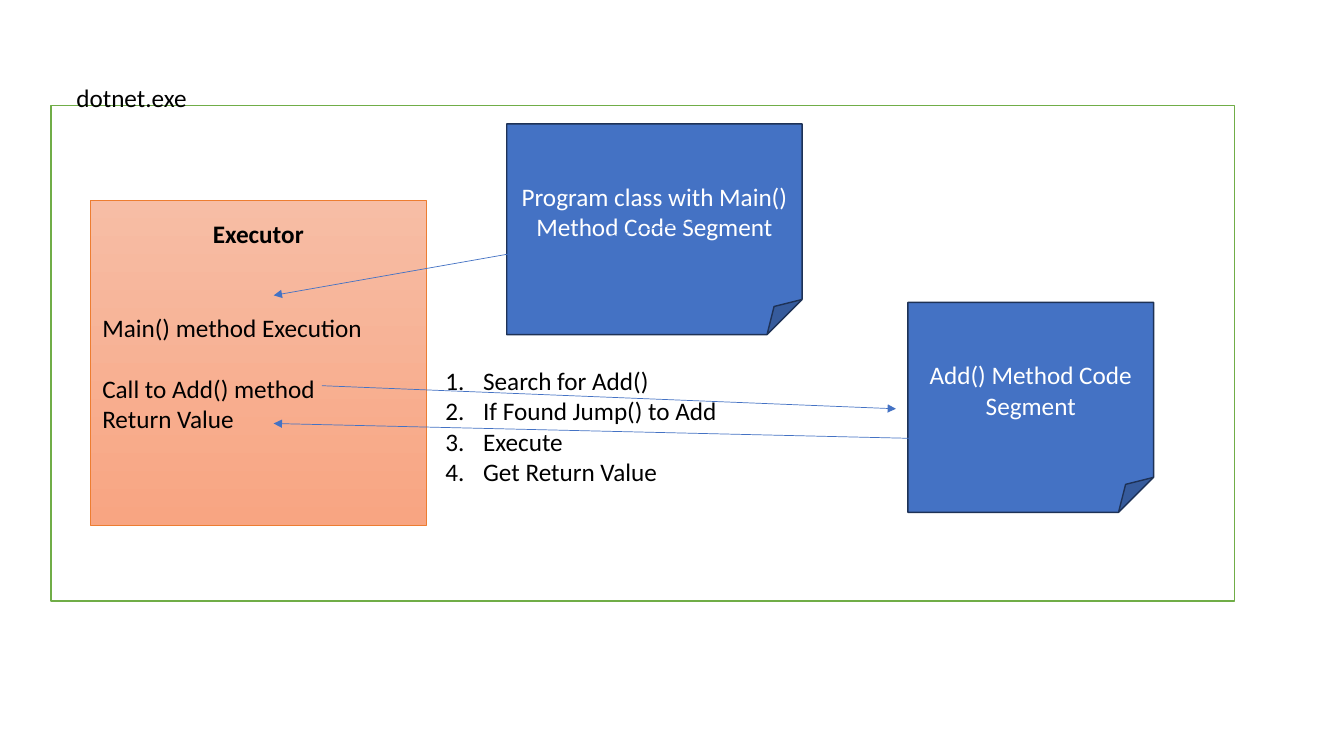
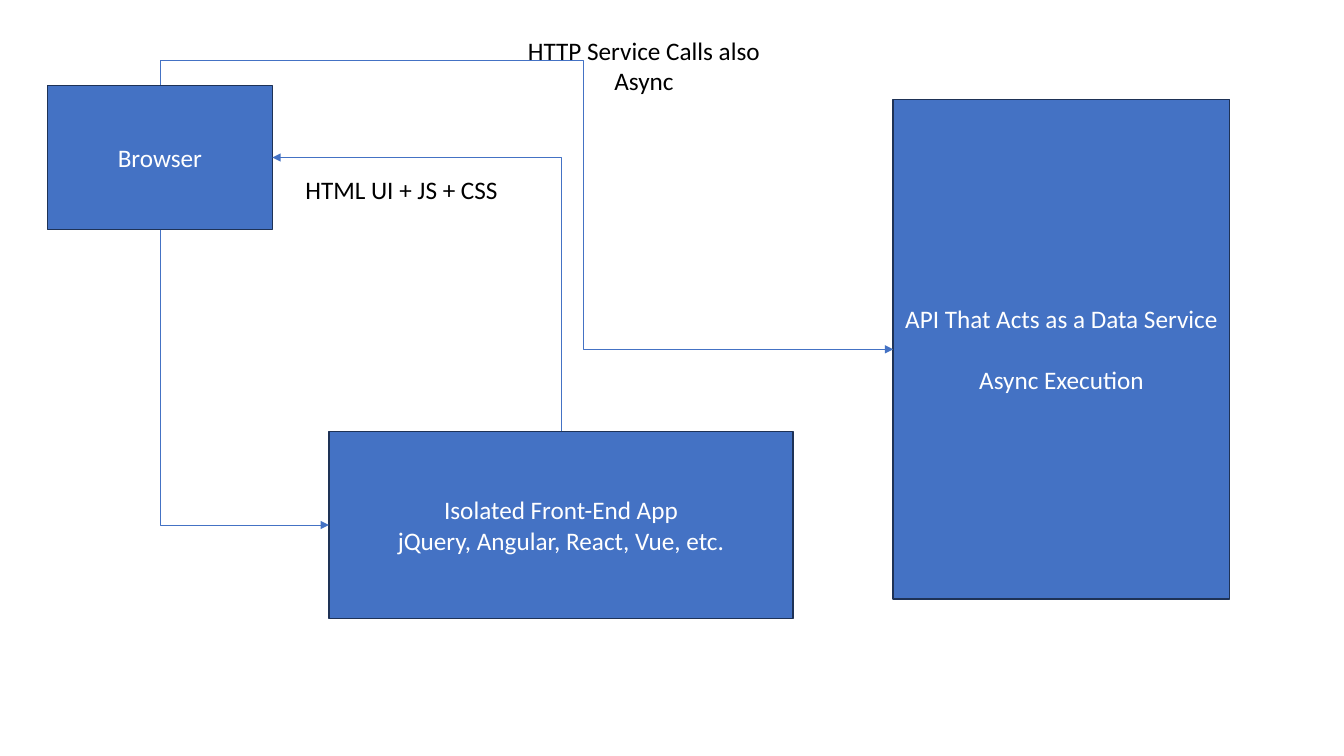
from typing import NamedTuple

from lxml import etree
from pptx import Presentation
from pptx.dml.color import RGBColor
from pptx.enum.shapes import MSO_CONNECTOR, MSO_SHAPE
from pptx.enum.text import MSO_ANCHOR, PP_ALIGN
from pptx.oxml.ns import qn
from pptx.util import Pt

RECTANGLE = MSO_SHAPE.RECTANGLE
FOLDED_CORNER = MSO_SHAPE.FOLDED_CORNER
STRAIGHT = MSO_CONNECTOR.STRAIGHT
ELBOW = MSO_CONNECTOR.ELBOW
LEFT = PP_ALIGN.LEFT
CENTER = PP_ALIGN.CENTER
MIDDLE = MSO_ANCHOR.MIDDLE

WHITE = RGBColor(0xFF, 0xFF, 0xFF)
BLACK = RGBColor(0x00, 0x00, 0x00)
BLUE = RGBColor(0x44, 0x72, 0xC4)
NAVY = RGBColor(0x1E, 0x32, 0x56)
GREEN = RGBColor(0x70, 0xAD, 0x47)
ORANGE = RGBColor(0xED, 0x7D, 0x31)
PEACH = RGBColor(0xF7, 0xBD, 0xA5)
SALMON = RGBColor(0xF8, 0xA5, 0x82)

FONT = "Calibri"
FONT_SIZE = 18
LINE_GAP = 22
NUMBER_INDENT = 27
TOP_SITE, LEFT_SITE, BOTTOM_SITE, RIGHT_SITE = range(4)


class Box(NamedTuple):
    left: float
    top: float
    width: float
    height: float

    def inside(self, left, top, width, height):
        return Box(self.left + left, self.top + top, width, height)

    def point(self, x, y):
        return Pt(self.left + x), Pt(self.top + y)

    def lengths(self):
        return [Pt(value) for value in self]


def number_paragraph(paragraph):
    properties = paragraph._p.get_or_add_pPr()
    properties.set("marL", str(Pt(NUMBER_INDENT)))
    properties.set("indent", str(-Pt(NUMBER_INDENT)))
    etree.SubElement(properties, qn("a:buAutoNum"), type="arabicPeriod")


def write_text(frame, lines, color, align=LEFT, bold=False, numbered=False, gap_before=None):
    frame.word_wrap = True
    for index, line in enumerate(lines):
        paragraph = frame.add_paragraph() if index else frame.paragraphs[0]
        paragraph.text = line
        paragraph.alignment = align
        if index == gap_before:
            paragraph.space_before = Pt(LINE_GAP)
        if numbered:
            number_paragraph(paragraph)
        font = paragraph.font
        font.name = FONT
        font.size = Pt(FONT_SIZE)
        font.bold = bold
        font.color.rgb = color


def add_label(slide, box, *lines, **style):
    label = slide.shapes.add_textbox(*box.lengths())
    write_text(label.text_frame, lines, BLACK, **style)


def add_panel(slide, box, line_color, line_width, kind=RECTANGLE):
    panel = slide.shapes.add_shape(kind, *box.lengths())
    panel.shadow.inherit = False
    panel.line.color.rgb = line_color
    panel.line.width = Pt(line_width)
    return panel


def add_block(slide, box, *lines, kind=RECTANGLE, gap_before=None):
    block = add_panel(slide, box, NAVY, 1, kind)
    block.fill.solid()
    block.fill.fore_color.rgb = BLUE
    block.text_frame.vertical_anchor = MIDDLE
    write_text(block.text_frame, lines, WHITE, CENTER, gap_before=gap_before)
    return block


def style_arrow(connector):
    connector.line.color.rgb = BLUE
    connector.line.width = Pt(0.5)
    etree.SubElement(connector.line._get_or_add_ln(), qn("a:tailEnd"), type="triangle")
    etree.SubElement(connector._element.spPr, qn("a:effectLst"))


def add_arrow(slide, start, end):
    style_arrow(slide.shapes.add_connector(STRAIGHT, *start, *end))


def add_elbow(slide, start, start_site, end, end_site, preset, flip, adjustments=()):
    connector = slide.shapes.add_connector(ELBOW, 0, 0, 0, 0)
    connector.begin_connect(start, start_site)
    connector.end_connect(end, end_site)
    style_arrow(connector)
    left, top, width, height = connector.left, connector.top, connector.width, connector.height
    connector.left = left + (width - height) // 2
    connector.top = top + (height - width) // 2
    connector.width, connector.height = height, width

    properties = connector._element.spPr
    transform = properties.find(qn("a:xfrm"))
    for name in ("flipH", "flipV"):
        transform.attrib.pop(name, None)
    transform.set("rot", str(270 * 60000))
    transform.set(flip, "1")
    geometry = properties.find(qn("a:prstGeom"))
    geometry.set("prst", preset)
    guides = geometry.find(qn("a:avLst"))
    for index, value in enumerate(adjustments, 1):
        etree.SubElement(guides, qn("a:gd"), name=f"adj{index}", fmla=f"val {value}")


def add_executor(slide, box):
    panel = add_panel(slide, box, ORANGE, 0.5)
    panel.fill.gradient()
    panel.fill.gradient_angle = 270
    for stop, color in zip(panel.fill.gradient_stops, (PEACH, SALMON)):
        stop.color.rgb = color


def add_executor_text(slide, box):
    add_label(slide, box.inside(8.5, 9.5, 223, 29), "Executor", align=CENTER, bold=True)
    add_label(slide, box.inside(1.5, 76.5, 238.5, 94), "Main() method Execution",
              "Call to Add() method", "Return Value", gap_before=1)


def build_process_slide(slide, box):
    frame = add_panel(slide, box, GREEN, 1)
    frame.fill.solid()
    frame.fill.fore_color.rgb = WHITE
    add_label(slide, box.inside(11, -20, 171.5, 29), "dotnet.exe")
    executor_box = box.inside(28, 67.5, 240, 232)
    add_executor(slide, executor_box)
    add_block(slide, box.inside(325.5, 13, 211, 150.5),
              "Program class with Main() Method Code Segment", kind=FOLDED_CORNER)
    add_executor_text(slide, executor_box)
    add_block(slide, box.inside(612, 140.5, 175.5, 150),
              "Add() Method Code Segment", kind=FOLDED_CORNER)
    add_label(slide, box.inside(274.5, 182, 270, 94), "Search for Add()",
              "If Found Jump() to Add", "Execute", "Get Return Value", numbered=True)
    for start, end in (
        ((497, 76), (159, 135.5)),
        ((193.5, 200), (603.5, 216.5)),
        ((717, 240), (159, 227)),
    ):
        add_arrow(slide, box.point(*start), box.point(*end))


def build_web_slide(slide, box):
    service = add_block(slide, box.inside(604, 49.5, 240.5, 357),
                        "API That Acts as a Data Service", "Async Execution", gap_before=1)
    front_end = add_block(slide, box.inside(201, 286.5, 331.5, 134),
                          "Isolated Front-End App", "jQuery, Angular, React, Vue, etc.")
    browser = add_block(slide, box.inside(0, 39.5, 160.5, 103), "Browser")
    add_elbow(slide, browser, BOTTOM_SITE, front_end, LEFT_SITE, "bentConnector2", "flipH")
    add_elbow(slide, front_end, TOP_SITE, browser, RIGHT_SITE, "bentConnector2", "flipV")
    add_label(slide, box.inside(177, 99.5, 170.5, 29), "HTML UI + JS + CSS")
    add_elbow(slide, browser, TOP_SITE, service, LEFT_SITE, "bentConnector4", "flipH",
              (-9500, 57700))
    add_label(slide, box.inside(320.5, 0, 211, 51), "HTTP Service Calls also Async",
              align=CENTER)


def main():
    presentation = Presentation()
    presentation.slide_width = Pt(960)
    presentation.slide_height = Pt(540)
    blank = presentation.slide_layouts[6]
    build_process_slide(presentation.slides.add_slide(blank), Box(36.5, 75.5, 845.5, 354))
    build_web_slide(presentation.slides.add_slide(blank), Box(34, 21.5, 844.5, 420.5))
    presentation.save("out.pptx")


if __name__ == "__main__":
    main()
